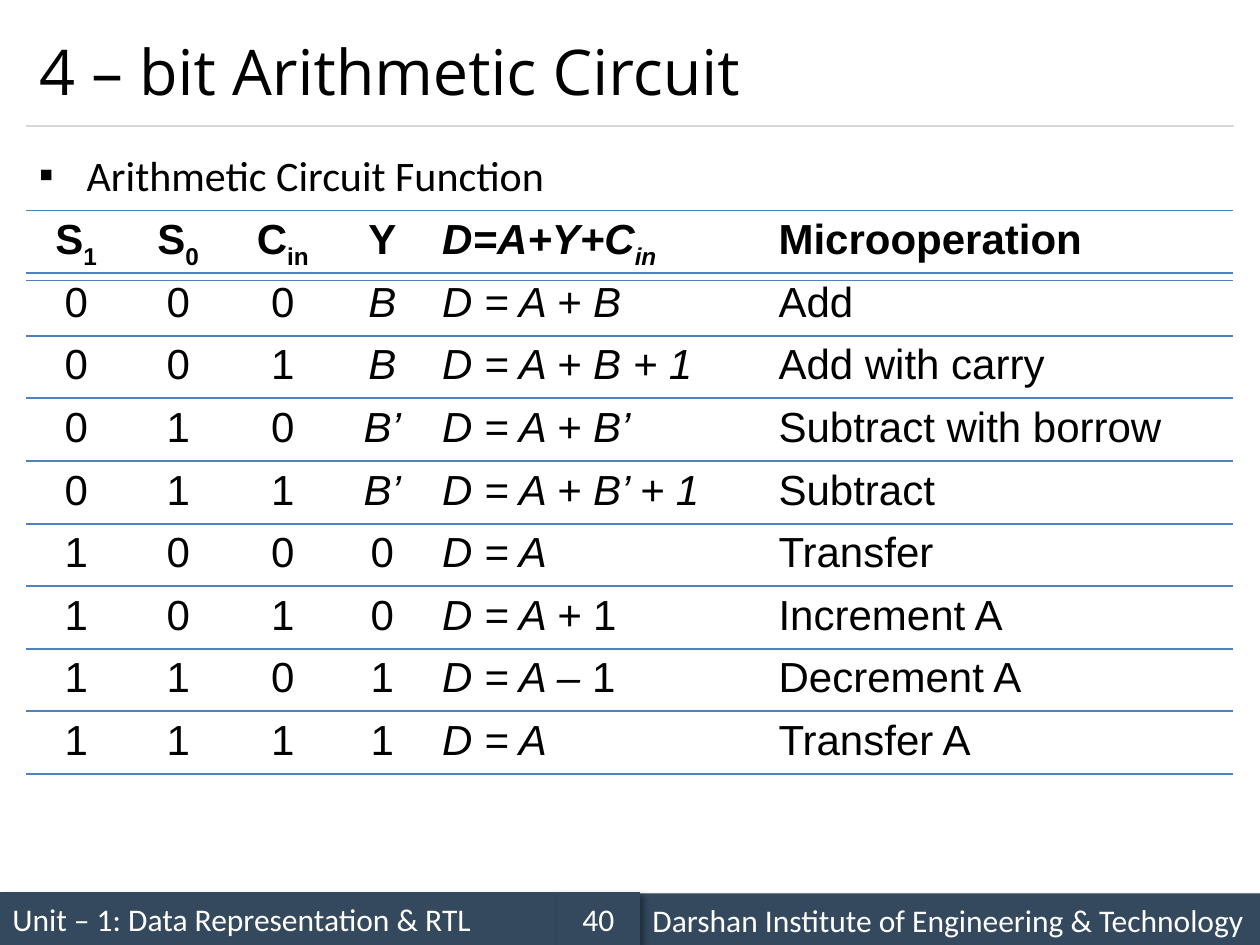
from pptx import Presentation
from pptx.dml.color import RGBColor
from pptx.enum.shapes import MSO_CONNECTOR, MSO_SHAPE
from pptx.enum.text import MSO_ANCHOR, MSO_AUTO_SIZE, PP_ALIGN
from pptx.oxml import parse_xml
from pptx.oxml.ns import nsdecls, qn
from pptx.util import Inches, Pt

BLACK = RGBColor(0x00, 0x00, 0x00)
WHITE = RGBColor(0xFF, 0xFF, 0xFF)
NAVY = RGBColor(0x34, 0x49, 0x5E)
GREY = RGBColor(0xD8, 0xD8, 0xD8)
BLUE = RGBColor(0x4F, 0x81, 0xBD)

SLIDE_WIDTH, SLIDE_HEIGHT = 10, 7.5
MARGIN = 0.21
CONTENT_WIDTH = SLIDE_WIDTH - 2 * MARGIN
COLUMN_WIDTHS = [0.79, 0.83, 0.83, 0.75, 2.67, 3.71]
CENTRED_COLUMNS = 4
ROW_HEIGHT = 0.41
TABLE_FRAME_SIZE = 3.28
FUNCTION_TABLE_TOP, FUNCTION_TABLE_BOTTOM = 1.67, 6.14
PLAIN_TABLE_STYLE = "{2D5ABB26-0587-4C30-8999-92F81FD0307C}"

HEADER = [
    [("S", ""), ("1", "s")],
    [("S", ""), ("0", "s")],
    [("C", ""), ("in", "s")],
    [("Y", "")],
    [("D=A+Y+C", "i"), ("in", "is")],
    [("Microoperation", "")],
]
FUNCTIONS = [
    ("000", "B", [("D = A + B", "i")], "Add"),
    ("001", "B", [("D = A + B + 1", "i")], "Add with carry"),
    ("010", "B’", [("D = A + B’", "i")], "Subtract with borrow"),
    ("011", "B’", [("D = A + B’ + 1", "i")], "Subtract"),
    ("100", "0", [("D = A", "i")], "Transfer"),
    ("101", "0", [("D = A + ", "i"), ("1", "")], "Increment A"),
    ("110", "1", [("D = A – ", "i"), ("1", "")], "Decrement A"),
    ("111", "1", [("D = A", "i")], "Transfer A"),
]


def box_lengths(box):
    return [Inches(length) for length in box]


def format_font(font, name, size, color):
    font.name = name
    font.size = Pt(size)
    font.color.rgb = color


def add_title(slide, text, box):
    title = slide.shapes.title
    title.left, title.top, title.width, title.height = box_lengths(box)
    frame = title.text_frame
    frame.text = text
    frame.auto_size = MSO_AUTO_SIZE.NONE
    frame.vertical_anchor = MSO_ANCHOR.MIDDLE
    frame.paragraphs[0].alignment = PP_ALIGN.LEFT
    format_font(frame.paragraphs[0].runs[0].font, "Open Sans", 36, BLACK)

    left, top, width, height = box
    rule = slide.shapes.add_connector(
        MSO_CONNECTOR.STRAIGHT,
        *box_lengths((left, top + height, left + width, top + height)))
    rule.line.color.rgb = GREY
    rule.line.width = Pt(0.75)
    rule._element.spPr.append(parse_xml(f"<a:effectLst {nsdecls('a')}/>"))


def add_bullet(slide, text, box):
    frame = slide.shapes.add_textbox(*box_lengths(box)).text_frame
    frame.word_wrap = True
    frame.text = text
    paragraph = frame.paragraphs[0]
    properties = paragraph._p.get_or_add_pPr()
    indent = Inches(0.38)
    properties.set("marL", str(indent))
    properties.set("indent", str(-indent))
    for element in (f'<a:buClr {nsdecls("a")}><a:srgbClr val="{BLACK}"/></a:buClr>',
                    f'<a:buFont {nsdecls("a")} typeface="Arial"/>',
                    f'<a:buChar {nsdecls("a")} char="▪"/>'):
        properties.append(parse_xml(element))
    paragraph.line_spacing = 1.14
    format_font(paragraph.runs[0].font, "Calibri", 24, BLACK)


def fill_cell(cell, runs, bold, centred):
    paragraph = cell.text_frame.paragraphs[0]
    paragraph.alignment = PP_ALIGN.CENTER if centred else PP_ALIGN.LEFT
    for text, style in runs:
        run = paragraph.add_run()
        run.text = text
        format_font(run.font, "Arial", 24, BLACK)
        run.font.bold = bold
        run.font.italic = "i" in style
        if "s" in style:
            run._r.get_or_add_rPr().set("baseline", "-25000")
    cell.fill.background()
    for position, side in enumerate(("lnT", "lnB")):
        border = parse_xml(
            f'<a:{side} {nsdecls("a")} w="{Pt(1)}"><a:solidFill>'
            f'<a:srgbClr val="{BLUE}"/></a:solidFill></a:{side}>')
        cell._tc.get_or_add_tcPr().insert(position, border)


def add_row_table(slide, cells, box, bold):
    table_frame = slide.shapes.add_table(1, len(cells), *box_lengths(box))
    table = table_frame.table
    table.first_row = False
    table.horz_banding = False
    table._tbl.tblPr.find(qn("a:tableStyleId")).text = PLAIN_TABLE_STYLE
    for index, (runs, width) in enumerate(zip(cells, COLUMN_WIDTHS)):
        table.columns[index].width = Inches(width)
        fill_cell(table.cell(0, index), runs, bold, index < CENTRED_COLUMNS)
    table_frame.width = table_frame.height = Inches(TABLE_FRAME_SIZE)


def add_function_tables(slide, box):
    left, top, width, height = box
    rows = [HEADER]
    for bits, operand, formula, operation in FUNCTIONS:
        operand_style = "i" if operand.startswith("B") else ""
        rows.append([[(bit, "")] for bit in bits]
                    + [[(operand, operand_style)], formula, [(operation, "")]])
    pitch = height / len(rows)
    for index, cells in enumerate(rows):
        add_row_table(slide, cells, (left, top + index * pitch, width, ROW_HEIGHT),
                      bold=index == 0)


def add_footer_bar(slide, text, box, alignment):
    bar = slide.shapes.add_shape(MSO_SHAPE.RECTANGLE, *box_lengths(box))
    bar.fill.solid()
    bar.fill.fore_color.rgb = NAVY
    bar.line.fill.background()
    bar._element.spPr.append(parse_xml(
        f'<a:effectLst {nsdecls("a")}><a:outerShdw blurRad="{Pt(4)}" dist="{Pt(3)}" '
        f'dir="2700000" algn="tl" rotWithShape="0"><a:srgbClr val="{BLACK}">'
        '<a:alpha val="40000"/></a:srgbClr></a:outerShdw></a:effectLst>'))
    frame = bar.text_frame
    frame.word_wrap = True
    frame.text = text
    frame.vertical_anchor = MSO_ANCHOR.MIDDLE
    frame.paragraphs[0].alignment = alignment
    format_font(frame.paragraphs[0].runs[0].font, "Calibri", 18, WHITE)


def add_footer(slide, box):
    left, top, width, height = box
    unit_width, number_width = 0.442 * width, 0.066 * width
    number_left = left + unit_width
    school_left = number_left + number_width
    add_footer_bar(slide, "Unit – 1: Data Representation & RTL",
                   (left, top, unit_width, height), PP_ALIGN.LEFT)
    add_footer_bar(slide, "Darshan Institute of Engineering & Technology",
                   (school_left, top + 0.01, left + width - school_left, height),
                   PP_ALIGN.LEFT)
    add_footer_bar(slide, "40", (number_left, top, number_width, height), PP_ALIGN.CENTER)


def main():
    presentation = Presentation()
    presentation.slide_width = Inches(SLIDE_WIDTH)
    presentation.slide_height = Inches(SLIDE_HEIGHT)
    slide = presentation.slides.add_slide(presentation.slide_layouts[5])
    add_footer(slide, (0, 7.08, SLIDE_WIDTH, 0.42))
    add_title(slide, "4 – bit Arithmetic Circuit", (MARGIN, 0.12, CONTENT_WIDTH, 0.88))
    add_bullet(slide, "Arithmetic Circuit Function", (MARGIN, 1.08, CONTENT_WIDTH, 0.67))
    add_function_tables(slide, (MARGIN, FUNCTION_TABLE_TOP, CONTENT_WIDTH,
                                FUNCTION_TABLE_BOTTOM - FUNCTION_TABLE_TOP))
    presentation.save("out.pptx")


if __name__ == "__main__":
    main()
